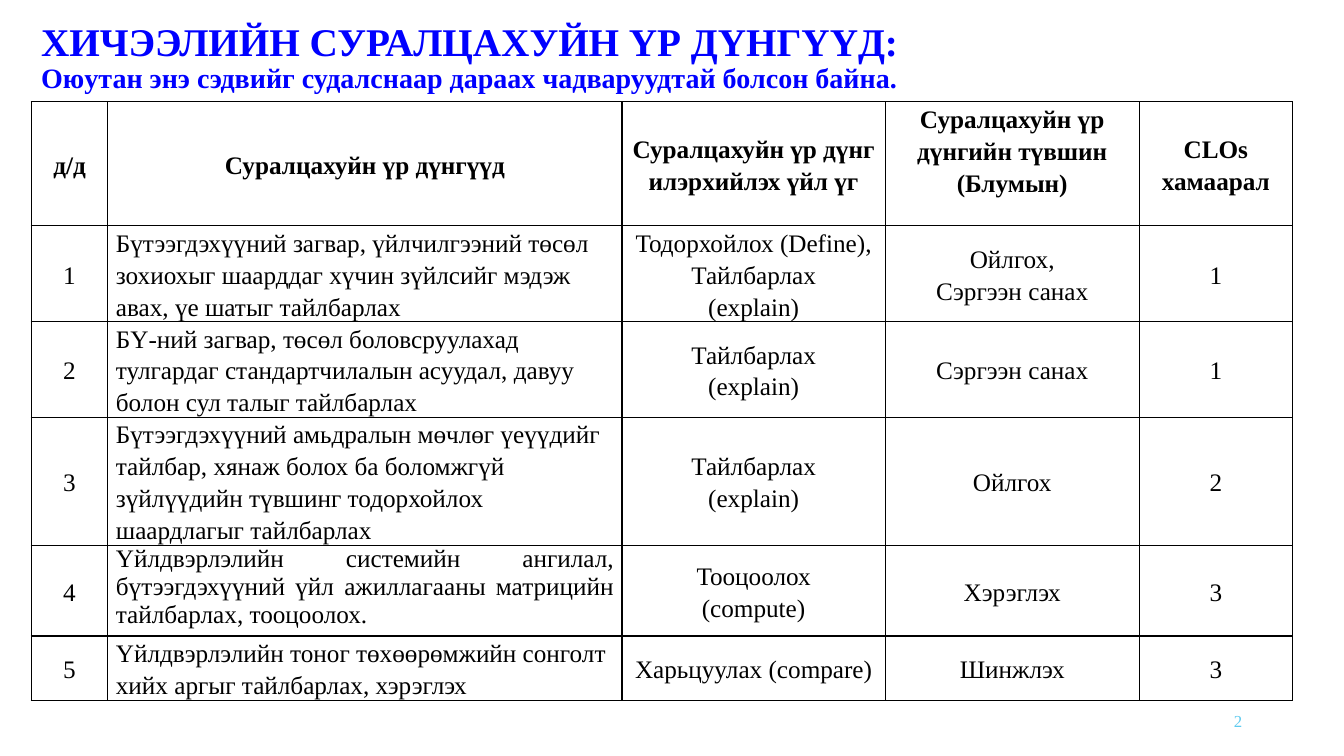
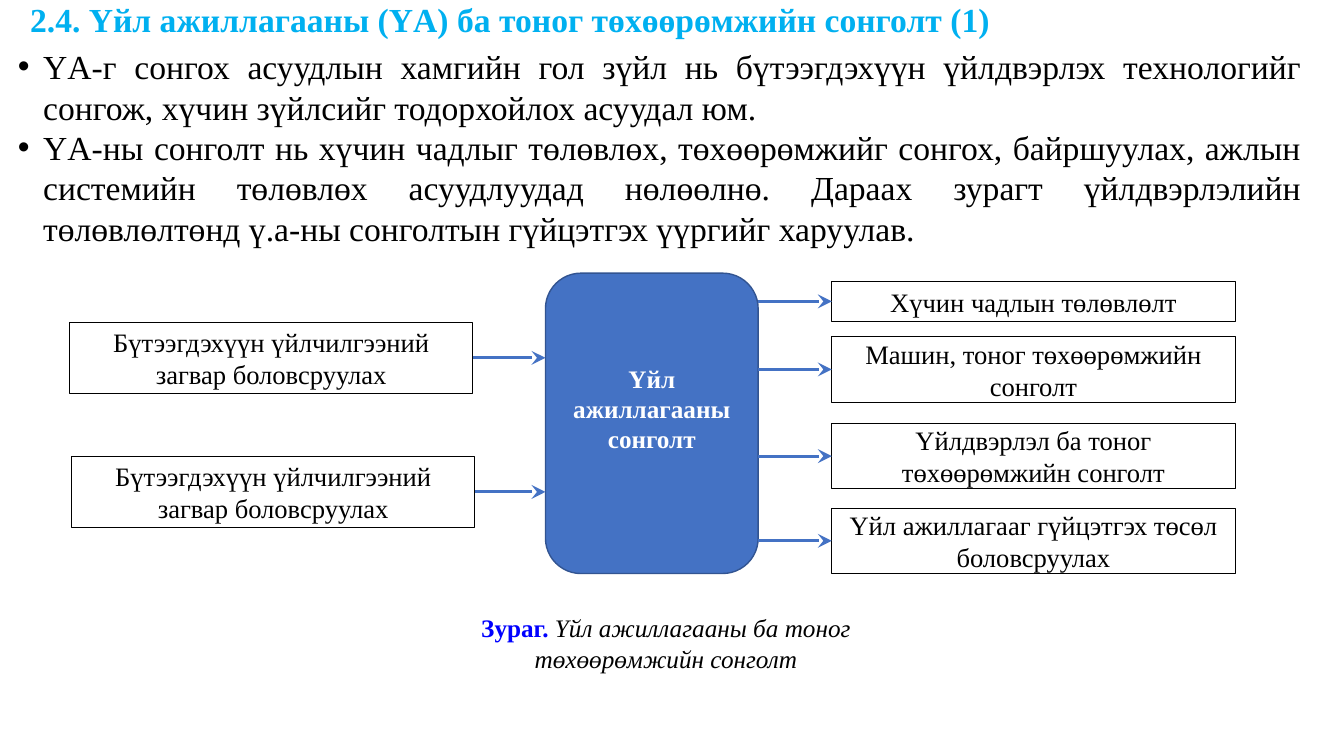
from dataclasses import dataclass

from lxml import etree
from pptx import Presentation
from pptx.dml.color import RGBColor
from pptx.enum import shapes, text
from pptx.oxml import ns
from pptx.util import Inches, Pt

AL = text.PP_ALIGN
AN = text.MSO_ANCHOR


@dataclass(frozen=True)
class Theme:
    """Colours, font, type sizes and line spacing shared by the slides."""
    font: str = "Times New Roman"
    ink: str = "000000"
    blue: str = "0000FF"
    sky: str = "00B0F0"
    pale: str = "5FCBEF"
    fill: str = "4472C4"
    edge: str = "325491"
    white: str = "FFFFFF"
    head: int = 28
    sub: int = 20
    body: int = 24
    box: int = 19
    cell: int = 18
    foot: int = 12
    tight: float = 0.9
    plain: float = 1.0
    row: int = Pt(22.8)
    dense: int = Pt(20)


T = Theme()

HEADS = [
    ["д/д"],
    ["Суралцахуйн үр дүнгүүд"],
    ["Суралцахуйн үр дүнг илэрхийлэх үйл үг"],
    ["Суралцахуйн үр дүнгийн түвшин", "(Блумын)"],
    ["CLOs хамаарал"],
]
GOALS = [
    ("Бүтээгдэхүүний загвар, үйлчилгээний төсөл зохиохыг шаарддаг хүчин "
     "зүйлсийг мэдэж авах, үе шатыг тайлбарлах",
     ["Тодорхойлох (Define), Тайлбарлах", "(explain)"],
     ["Ойлгох,", "Сэргээн санах"], "1"),
    ("БҮ-ний загвар, төсөл боловсруулахад тулгардаг стандартчилалын "
     "асуудал, давуу болон сул талыг тайлбарлах",
     ["Тайлбарлах", "(explain)"], ["Сэргээн санах"], "1"),
    ("Бүтээгдэхүүний амьдралын мөчлөг үеүүдийг тайлбар, хянаж болох ба "
     "боломжгүй зүйлүүдийн түвшинг тодорхойлох шаардлагыг тайлбарлах",
     ["Тайлбарлах", "(explain)"], ["Ойлгох"], "2"),
    ("Үйлдвэрлэлийн системийн ангилал, бүтээгдэхүүний үйл ажиллагааны "
     "матрицийн тайлбарлах, тооцоолох.",
     ["Тооцоолох", "(compute)"], ["Хэрэглэх"], "3"),
    ("Үйлдвэрлэлийн тоног төхөөрөмжийн сонголт хийх аргыг тайлбарлах, "
     "хэрэглэх",
     ["Харьцуулах (compare)"], ["Шинжлэх"], "3"),
]
COLS = [0.76, 5.1, 2.61, 2.52, 1.52]
ROWS = [1.23, 0.95, 0.95, 1.27, 0.9, 0.64]
POINTS = [
    "ҮА-г сонгох асуудлын хамгийн гол зүйл нь бүтээгдэхүүн үйлдвэрлэх "
    "технологийг сонгож, хүчин зүйлсийг тодорхойлох асуудал юм.",
    "ҮА-ны сонголт нь хүчин чадлыг төлөвлөх, төхөөрөмжийг сонгох, "
    "байршуулах, ажлын системийн төлөвлөх асуудлуудад нөлөөлнө. Дараах "
    "зурагт үйлдвэрлэлийн төлөвлөлтөнд ү.а-ны сонголтын гүйцэтгэх үүргийг "
    "харуулав.",
]
INPUT = "Бүтээгдэхүүн үйлчилгээний загвар боловсруулах"
INS = [(0.69, 3.2), (0.71, 4.53)]
OUTS = [
    (2.79, 0.4, "Хүчин чадлын төлөвлөлт"),
    (3.34, 0.65, "Машин, тоног төхөөрөмжийн сонголт"),
    (4.2, 0.65, "Үйлдвэрлэл ба тоног төхөөрөмжийн сонголт"),
    (5.04, 0.65, "Үйл ажиллагааг гүйцэтгэх төсөл боловсруулах"),
]


def tint(code):
    """Turn a hex code into a colour."""
    return RGBColor.from_string(code)


def inch(box):
    """Turn a box of numbers into lengths."""
    return [Inches(n) for n in box]


def add_run(para, words, size, hue=T.ink, bold=False, slant=False):
    """Add one styled run to a paragraph."""
    run = para.add_run()
    run.text = words
    font = run.font
    font.name, font.size = T.font, Pt(size)
    font.bold, font.italic = bold, slant
    font.color.rgb = tint(hue)


def set_para(para, align, gap=T.plain):
    """Set the alignment and line spacing of a paragraph."""
    para.alignment, para.line_spacing = align, gap
    return para


def add_text(slide, box, align, anchor=AN.TOP, gap=T.plain):
    """Add a wrapped text box and return its frame."""
    frame = slide.shapes.add_textbox(*inch(box)).text_frame
    frame.word_wrap = True
    frame.vertical_anchor = anchor
    set_para(frame.paragraphs[0], align, gap)
    return frame


def add_title(slide, box, lines, hue, align=AL.LEFT):
    """Add a bold title whose lines are pairs of words and size."""
    para = add_text(slide, box, align, AN.MIDDLE, T.tight).paragraphs[0]
    for num, (words, size) in enumerate(lines):
        if num:
            para.add_line_break()
        add_run(para, words, size, hue, True)


def add_rim(cell):
    """Draw a thin line on every side of a cell."""
    props = cell._tc.get_or_add_tcPr()
    for spot, side in enumerate(("lnL", "lnR", "lnT", "lnB")):
        line = etree.Element(ns.qn("a:" + side), w=str(Pt(1)))
        fill = etree.SubElement(line, ns.qn("a:solidFill"))
        etree.SubElement(fill, ns.qn("a:srgbClr"), val=T.ink)
        props.insert(spot, line)


def fill_cell(cell, lines, bold=False, align=AL.CENTER, gap=T.row):
    """Write lines into a bordered cell."""
    cell.fill.background()
    add_rim(cell)
    cell.margin_left = cell.margin_right = Inches(0.08)
    cell.margin_top = cell.margin_bottom = 0
    cell.vertical_anchor = AN.MIDDLE
    frame = cell.text_frame
    for num, words in enumerate(lines):
        para = frame.add_paragraph() if num else frame.paragraphs[0]
        add_run(set_para(para, align, gap), words, T.cell, T.ink, bold)


def add_goals(slide, left, top):
    """Add the table of learning goals."""
    box = (left, top, sum(COLS), sum(ROWS))
    grid = slide.shapes.add_table(len(ROWS), len(COLS), *inch(box)).table
    grid.first_row = grid.horz_banding = False
    for col, wide in zip(grid.columns, COLS):
        col.width = Inches(wide)
    for row, high in zip(grid.rows, ROWS):
        row.height = Inches(high)
    for num, lines in enumerate(HEADS):
        fill_cell(grid.cell(0, num), lines, True)
    grid.cell(0, 3).vertical_anchor = AN.TOP
    for num, (goal, verb, level, link) in enumerate(GOALS, 1):
        full = num == 4
        fill_cell(grid.cell(num, 0), [str(num)])
        fill_cell(grid.cell(num, 1), [goal], False,
                  AL.JUSTIFY if full else AL.LEFT,
                  T.dense if full else T.row)
        grid.cell(num, 1).vertical_anchor = AN.TOP
        for col, lines in enumerate((verb, level, [link]), 2):
            fill_cell(grid.cell(num, col), lines)


def add_list(slide, box, items):
    """Add a justified bullet list."""
    frame = add_text(slide, box, AL.JUSTIFY)
    for num, words in enumerate(items):
        para = frame.add_paragraph() if num else frame.paragraphs[0]
        set_para(para, AL.JUSTIFY)
        props = para._p.get_or_add_pPr()
        props.set("marL", str(Inches(0.25)))
        props.set("indent", str(Inches(-0.25)))
        etree.SubElement(props, ns.qn("a:buFont"), typeface="Arial")
        etree.SubElement(props, ns.qn("a:buChar"), char="•")
        add_run(para, words, T.body)


def add_box(slide, box, words, core=False):
    """Add a labelled box, filled and rounded for the core."""
    kind = shapes.MSO_SHAPE
    kind = kind.ROUNDED_RECTANGLE if core else kind.RECTANGLE
    shape = slide.shapes.add_shape(kind, *inch(box))
    shape.shadow.inherit = False
    if core:
        shape.fill.solid()
        shape.fill.fore_color.rgb = tint(T.fill)
    else:
        shape.fill.background()
    shape.line.color.rgb = tint(T.edge if core else T.ink)
    shape.line.width = Pt(1 if core else 0.75)
    frame = shape.text_frame
    frame.word_wrap = True
    frame.vertical_anchor = AN.MIDDLE
    frame.margin_top = Inches(0.05 if core else 0)
    frame.margin_bottom = Inches(0.35 if core else 0)
    para = set_para(frame.paragraphs[0], AL.CENTER)
    add_run(para, words, T.cell if core else T.box,
            T.white if core else T.ink, core)
    return shape


def add_arrow(slide, left, right, level):
    """Add a level arrow between two places."""
    line = slide.shapes.add_connector(
        shapes.MSO_CONNECTOR.STRAIGHT, *inch((left, level, right, level)))
    line.line.color.rgb = tint(T.fill)
    line.line.width = Pt(2)
    etree.SubElement(line.line._get_or_add_ln(), ns.qn("a:tailEnd"),
                     type="stealth", w="lg", len="lg")
    etree.SubElement(line._element.spPr, ns.qn("a:effectLst"))
    return line


def add_flow(slide, left, top, wide, high):
    """Add the core box with its inputs and outputs."""
    add_box(slide, (left, top, wide, high), "Үйл ажиллагааны сонголт", True)
    for side, level in INS:
        shape = add_box(slide, (side, level, 4, 0.7), INPUT)
        line = add_arrow(slide, side + 4, left, level + 0.35)
        line.begin_connect(shape, 3)
    edge = left + wide
    for level, tall, words in OUTS:
        shape = add_box(slide, (edge + 0.73, level, 4, tall), words)
        line = add_arrow(slide, edge, edge + 0.73, level + tall / 2)
        line.end_connect(shape, 1)


def goal_slide(slide):
    """Build the slide of learning goals."""
    add_title(slide, (0.31, 0.15, 10.61, 0.86), [
        ("ХИЧЭЭЛИЙН СУРАЛЦАХУЙН ҮР ДҮНГҮҮД:", T.head),
        ("Оюутан энэ сэдвийг судалснаар дараах чадваруудтай болсон байна.",
         T.sub)], T.blue)
    add_goals(slide, 0.31, 1.01)
    frame = add_text(slide, (9.42, 6.95, 3, 0.4), AL.RIGHT, AN.MIDDLE)
    add_run(frame.paragraphs[0], "2", T.foot, T.pale)


def flow_slide(slide):
    """Build the slide of the selection diagram."""
    add_title(slide, (0.2, 0.01, 12.8, 0.41), [
        ("2.4. Үйл ажиллагааны (ҮА) ба тоног төхөөрөмжийн сонголт (1)",
         T.body)], T.sky, AL.JUSTIFY)
    add_list(slide, (0.08, 0.41, 12.92, 2.16), POINTS)
    add_flow(slide, 5.41, 2.71, 2.11, 2.98)
    para = add_text(slide, (4.6, 6.03, 4.01, 0.78), AL.CENTER).paragraphs[0]
    add_run(para, "Зураг. ", T.cell, T.blue, True)
    add_run(para, "Үйл ажиллагааны ба тоног төхөөрөмжийн сонголт", T.cell,
            slant=True)


def main():
    """Build and save the slides."""
    deck = Presentation()
    deck.slide_width, deck.slide_height = inch((13.33, 7.5))
    for build in (goal_slide, flow_slide):
        build(deck.slides.add_slide(deck.slide_layouts[6]))
    deck.save("out.pptx")


if __name__ == "__main__":
    main()
